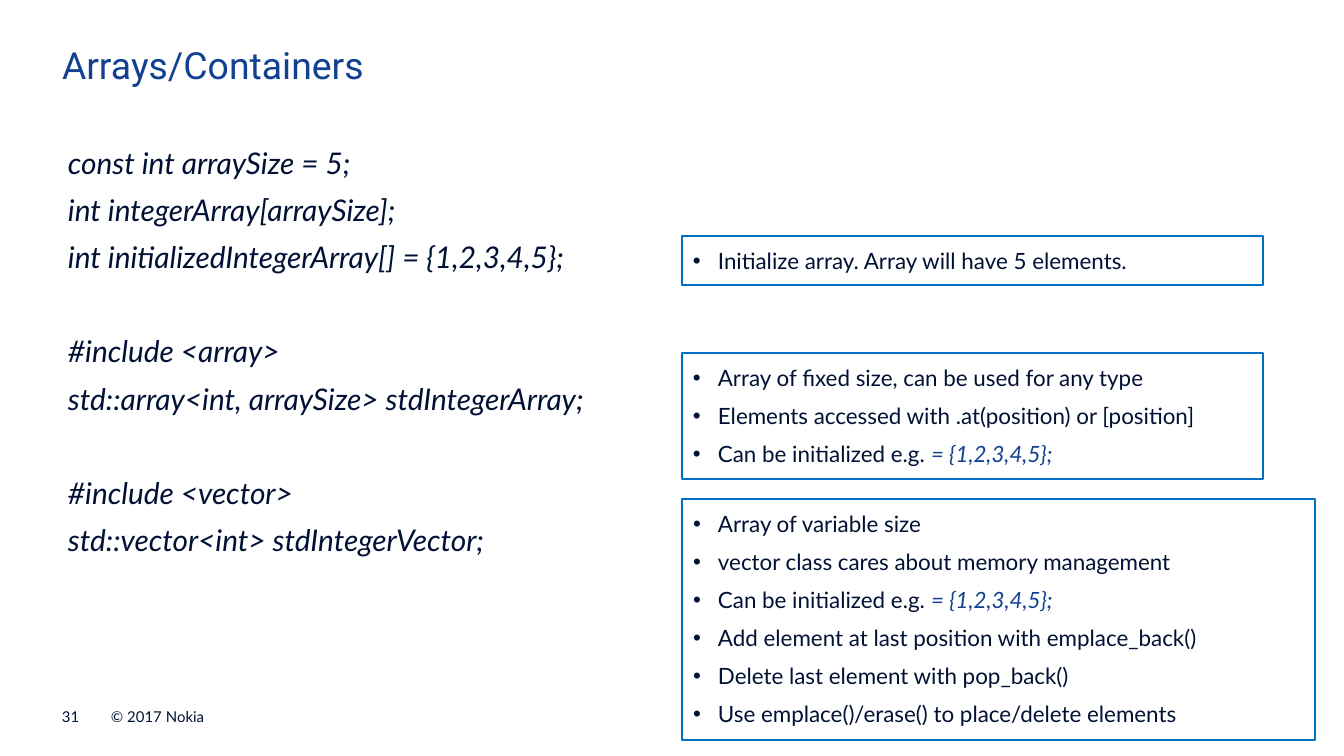
from lxml import etree
from pptx import Presentation
from pptx.dml.color import RGBColor
from pptx.enum.shapes import MSO_SHAPE
from pptx.enum.text import MSO_ANCHOR, MSO_AUTO_SIZE, PP_ALIGN
from pptx.oxml.ns import qn
from pptx.util import Emu, Pt

RECTANGLE = MSO_SHAPE.RECTANGLE
TOP, BOTTOM = MSO_ANCHOR.TOP, MSO_ANCHOR.BOTTOM
LEFT = PP_ALIGN.LEFT
NO_FIT = MSO_AUTO_SIZE.NONE
COLORS = {"text": "001135", "accent": "124191", "border": "0070C0"}
PX = 914400 / 134.4


def px(*lengths):
    return [Emu(round(length * PX)) for length in lengths]


def style(para, size, color="text", font="Lato", italic=False, after=0, before=0):
    para.alignment = LEFT
    para.line_spacing = 1.0
    para.space_before = Pt(before)
    para.space_after = Pt(after)
    for span in para.runs:
        span.font.name = font
        span.font.size = Pt(size)
        span.font.italic = italic
        span.font.color.rgb = RGBColor.from_string(COLORS[color])


deck = Presentation()
deck.slide_width, deck.slide_height = px(1344, 756)
page = deck.slides.add_slide(deck.slide_layouts[1])

title = page.shapes.title
code = page.placeholders[1]
placements = [
    (title, (62, 42, 1222, 46), (0, 0)),
    (code, (62, 98, 1137, 569), (6, 47)),
]
for holder, bounds, (inset_left, inset_top) in placements:
    holder.left, holder.top, holder.width, holder.height = px(*bounds)
    frame = holder.text_frame
    frame.margin_left, frame.margin_top = px(inset_left, inset_top)
    frame.margin_right = frame.margin_bottom = 0
    frame.vertical_anchor = TOP
    frame.auto_size = NO_FIT

title.text_frame.text = "Arrays/Containers"
style(title.text_frame.paragraphs[0], 20, "accent", "Roboto")

code_groups = [
    [
        "const int arraySize = 5;",
        "int integerArray[arraySize];",
        "int initializedIntegerArray[] = {1,2,3,4,5};",
    ],
    ["#include <array>", "std::array<int, arraySize> stdIntegerArray;"],
    ["#include <vector>", "std::vector<int> stdIntegerVector;"],
]
code.text_frame.text = "\n".join(line for group in code_groups for line in group)
group_starts = [group[0] for group in code_groups[1:]]
for para in code.text_frame.paragraphs:
    properties = para._p.get_or_add_pPr()
    properties.set("marL", "0")
    properties.set("indent", "0")
    etree.SubElement(properties, qn("a:buNone"))
    gap = 25.2 if para.text in group_starts else 0
    style(para, 16, italic=True, after=6, before=gap)

initializer = "= {1,2,3,4,5};"
initialized = "Can be initialized e.g. "
notes = [
    ((682, 353, 581, 126), [
        "Array of fixed size, can be used for any type",
        "Elements accessed with .at(position) or [position]",
        initialized,
    ]),
    ((682, 499, 633, 241), [
        "Array of variable size",
        "vector class cares about memory management",
        initialized,
        "Add element at last position with emplace_back()",
        "Delete last element with pop_back()",
        "Use emplace()/erase() to place/delete elements",
    ]),
    ((682, 236, 581, 49), ["Initialize array. Array will have 5 elements."]),
]
indent = px(25)[0]
inset = px(11)[0]
for bounds, lines in notes:
    box = page.shapes.add_shape(RECTANGLE, *px(*bounds))
    box.shadow.inherit = False
    box.fill.background()
    box.line.color.rgb = RGBColor.from_string(COLORS["border"])
    box.line.width = Pt(0.75)
    frame = box.text_frame
    frame.word_wrap = True
    frame.vertical_anchor = TOP
    frame.margin_left = frame.margin_right = inset
    frame.margin_top = frame.margin_bottom = inset
    frame.text = "\n".join(lines)
    for para in frame.paragraphs:
        properties = para._p.get_or_add_pPr()
        properties.set("marL", str(indent))
        properties.set("indent", str(-indent))
        etree.SubElement(properties, qn("a:buFont"), typeface="Arial")
        etree.SubElement(properties, qn("a:buChar"), char="•")
        has_initializer = para.text == initialized
        if has_initializer:
            para.add_run().text = initializer
        style(para, 12, after=6)
        if has_initializer:
            value = para.runs[-1].font
            value.italic = True
            value.color.rgb = RGBColor.from_string(COLORS["accent"])

footers = [("© 2017 Nokia", (111, 708, 265, 18)), ("31", (62, 708, 38, 18))]
for text, bounds in footers:
    box = page.shapes.add_textbox(*px(*bounds))
    frame = box.text_frame
    frame.word_wrap = True
    frame.vertical_anchor = BOTTOM
    frame.margin_left = frame.margin_right = 0
    frame.margin_top = frame.margin_bottom = 0
    frame.text = text
    style(frame.paragraphs[0], 8)

deck.save("out.pptx")
